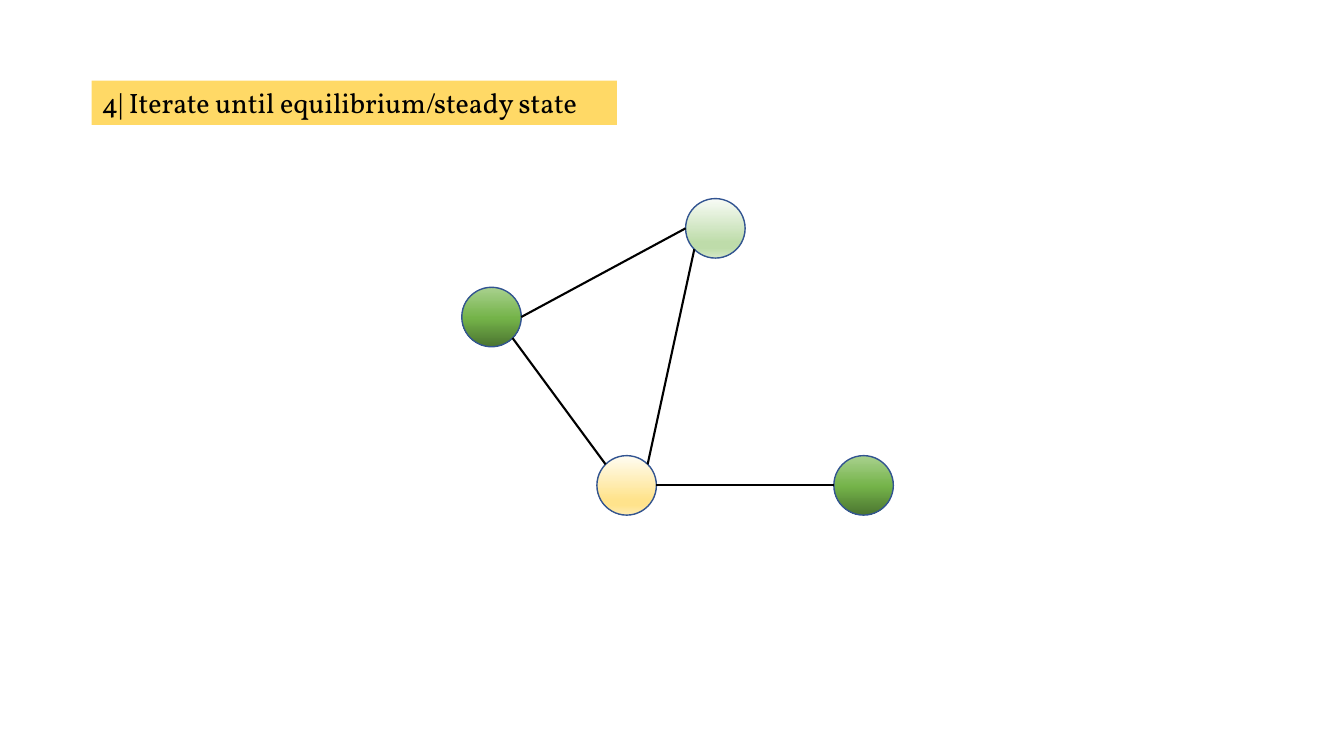
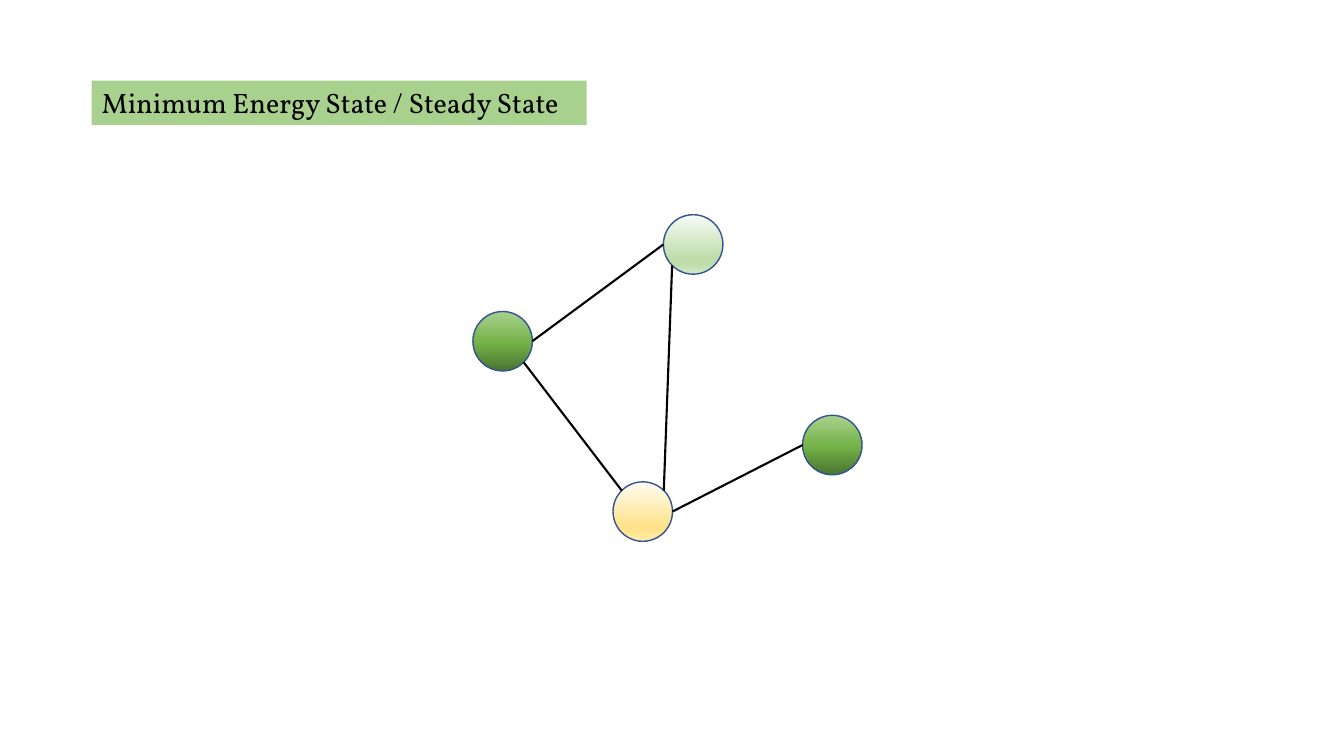
from dataclasses import dataclass
from math import cos, radians, sin

from lxml import etree
from pptx import Presentation
from pptx.dml.color import RGBColor
from pptx.enum import shapes, text
from pptx.oxml.ns import qn
from pptx.util import Inches, Pt

# Shared style
FONT = "Vollkorn"
BLACK = "000000"
OUTLINE = "325491"
YELLOW = "FFD966"
GREEN = "A9D18E"
DIAMETER = 0.59

# Gradient stops from top to bottom: (percent, colour)
GREEN_STOPS = [(0, "A9D18E"), (52, "74B349"), (100, "4B7430")]
CREAM_STOPS = [(0, "FFFCF2"), (74, "FFE38C"), (83, "FFE38C"), (100, "FFECB2")]
PALE_STOPS = [(0, "F8FBF6"), (74, "BEDCAA"), (83, "BEDCAA"), (100, "D4E8C6")]
NODE_STOPS = {"left": GREEN_STOPS, "bottom": CREAM_STOPS,
              "top": PALE_STOPS, "right": GREEN_STOPS}

# Connection sites of an ellipse, counter-clockwise from the top
TOP_LEFT, LEFT, BOTTOM_LEFT, BOTTOM_RIGHT, RIGHT, TOP_RIGHT = 1, 2, 3, 5, 6, 7


@dataclass
class Edge:
    start: str
    start_site: int
    end: str
    end_site: int


@dataclass
class GraphSlide:
    title: str
    title_width: float
    title_fill: str
    nodes: dict[str, tuple[float, float]]  # left and top of each circle


EDGES = [
    Edge("left", RIGHT, "top", LEFT),
    Edge("left", BOTTOM_RIGHT, "bottom", TOP_LEFT),
    Edge("top", BOTTOM_LEFT, "bottom", TOP_RIGHT),
    Edge("right", LEFT, "bottom", RIGHT),
]

SLIDES = [
    GraphSlide("4| Iterate until equilibrium/steady state", 5.21, YELLOW,
               {"left": (4.58, 2.85), "bottom": (5.92, 4.52),
                "top": (6.8, 1.97), "right": (8.27, 4.52)}),
    GraphSlide("Minimum Energy State / Steady State", 4.91, GREEN,
               {"left": (4.69, 3.09), "bottom": (6.08, 4.78),
                "top": (6.58, 2.13), "right": (7.96, 4.12)}),
]


def rgb(value: str) -> RGBColor:
    return RGBColor.from_string(value)


def add_title(slide, title: str, width: float, fill: str) -> None:
    sp = slide.shapes.add_textbox(Inches(0.91), Inches(0.8),
                                  Inches(width), Inches(0.44))
    sp.fill.solid()
    sp.fill.fore_color.rgb = rgb(fill)
    tf = sp.text_frame
    tf.word_wrap = True
    tf.auto_size = text.MSO_AUTO_SIZE.SHAPE_TO_FIT_TEXT
    p = tf.paragraphs[0]
    p.text = title
    p.font.name = FONT
    p.font.size = Pt(20)
    p.font.color.rgb = rgb(BLACK)


def add_node(slide, left: float, top: float, stops: list[tuple[int, str]]):
    sp = slide.shapes.add_shape(shapes.MSO_SHAPE.OVAL, Inches(left), Inches(top),
                                Inches(DIAMETER), Inches(DIAMETER))
    sp.shadow.inherit = False
    sp.line.color.rgb = rgb(OUTLINE)
    sp.line.width = Pt(1)
    sp.fill.gradient()
    sp.fill.gradient_angle = 270
    # Replace the default gradient stops
    stop_list = sp._element.spPr.find(".//" + qn("a:gsLst"))
    for stop in list(stop_list):
        stop_list.remove(stop)
    for percent, color in stops:
        stop = etree.SubElement(stop_list, qn("a:gs"), pos=str(percent * 1000))
        etree.SubElement(stop, qn("a:srgbClr"), val=color)
    return sp


def site_point(sp, site: int) -> tuple[int, int]:
    angle = radians(45 * site)
    radius = sp.width / 2
    return (round(sp.left + radius * (1 - sin(angle))),
            round(sp.top + radius * (1 - cos(angle))))


def add_edge(slide, edge: Edge, nodes: dict) -> None:
    start, end = nodes[edge.start], nodes[edge.end]
    line = slide.shapes.add_connector(shapes.MSO_CONNECTOR.STRAIGHT,
                                      *site_point(start, edge.start_site),
                                      *site_point(end, edge.end_site))
    line.line.color.rgb = rgb(BLACK)
    line.line.width = Pt(1.5)
    etree.SubElement(line._element.spPr, qn("a:effectLst"))
    # Join the line to the circles; begin_connect knows only four sites
    joints = line._element.nvCxnSpPr.cNvCxnSpPr
    for tag, sp, site in (("a:stCxn", start, edge.start_site),
                          ("a:endCxn", end, edge.end_site)):
        etree.SubElement(joints, qn(tag), id=str(sp.shape_id), idx=str(site))


def add_graph_slide(prs, content: GraphSlide) -> None:
    slide = prs.slides.add_slide(prs.slide_layouts[6])
    nodes = {name: add_node(slide, left, top, NODE_STOPS[name])
             for name, (left, top) in content.nodes.items()}
    for edge in EDGES:
        add_edge(slide, edge, nodes)
    add_title(slide, content.title, content.title_width, content.title_fill)


def main() -> None:
    prs = Presentation()
    prs.slide_width = Inches(13.33)
    prs.slide_height = Inches(7.5)
    for content in SLIDES:
        add_graph_slide(prs, content)
    prs.save("out.pptx")


if __name__ == "__main__":
    main()
